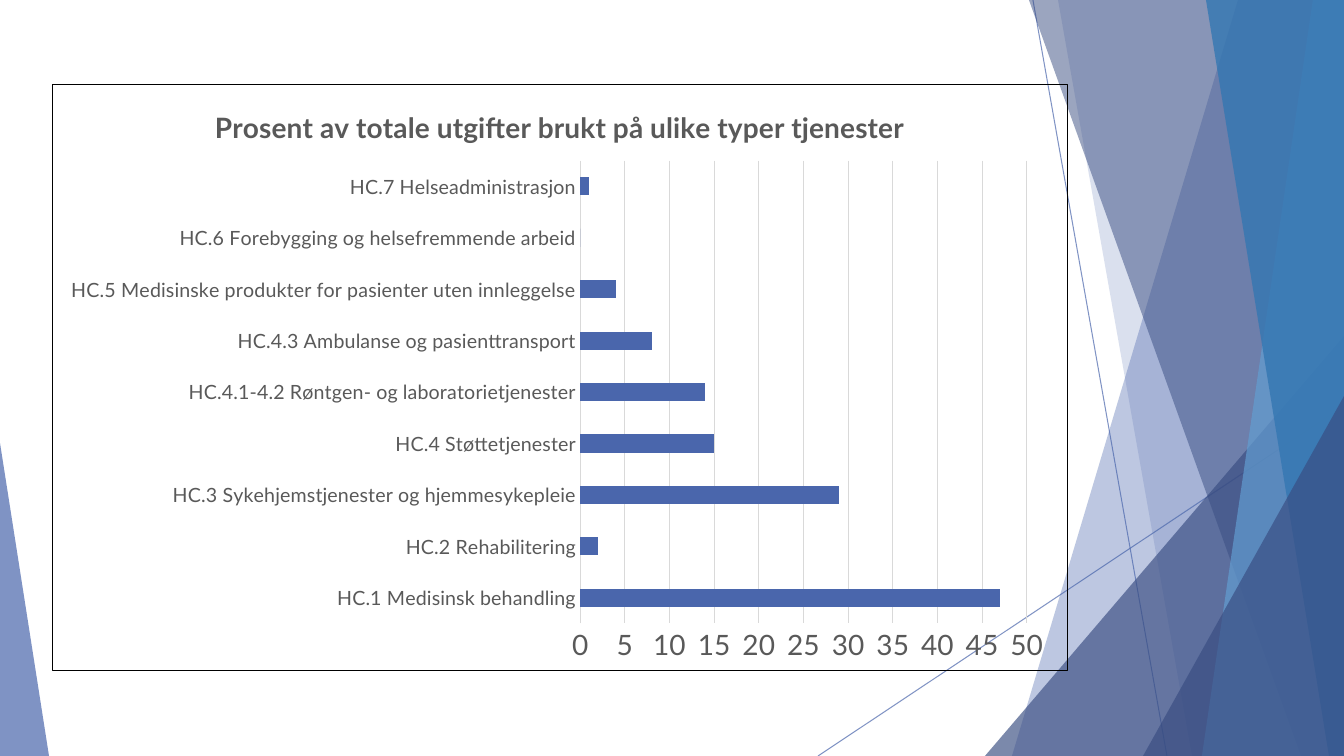
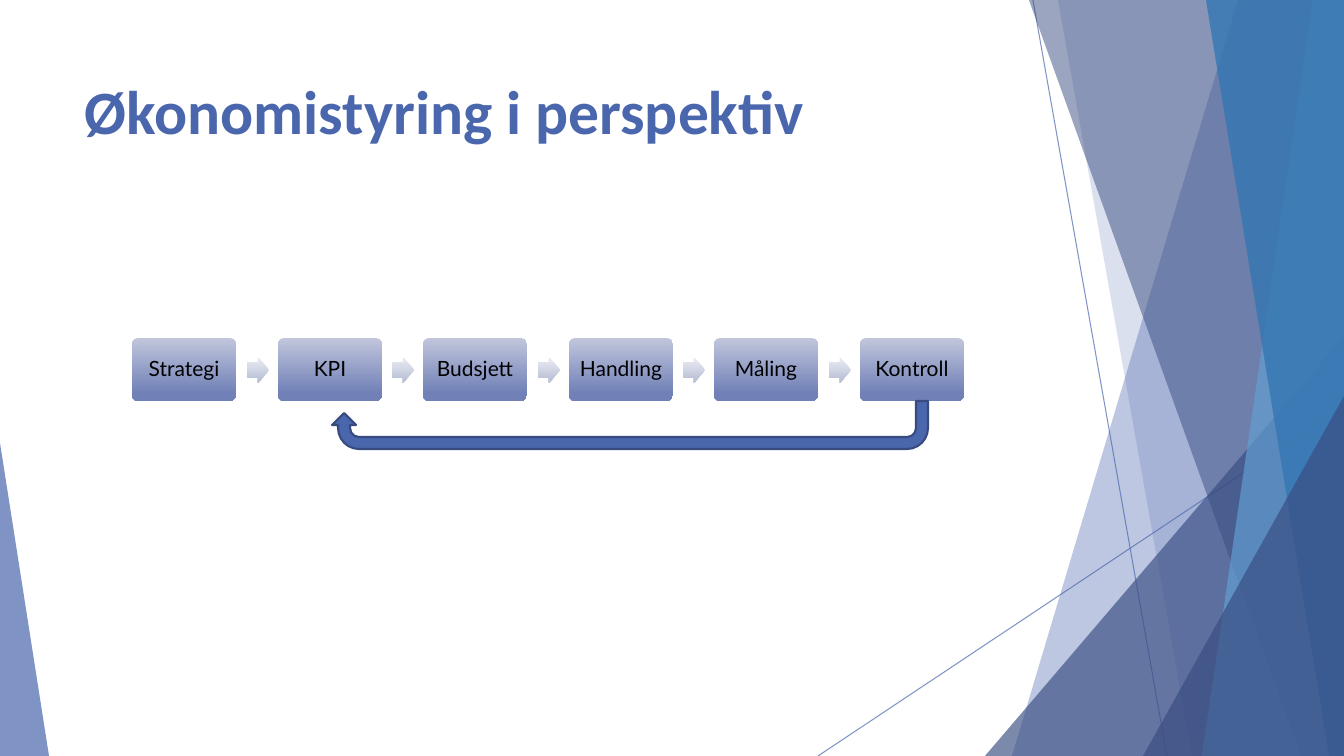
from lxml import etree
from pptx import Presentation
from pptx.chart.data import CategoryChartData
from pptx.dml.color import RGBColor
from pptx.enum.chart import XL_CHART_TYPE, XL_TICK_MARK
from pptx.enum.shapes import MSO_CONNECTOR, MSO_SHAPE
from pptx.enum.text import MSO_ANCHOR, PP_ALIGN
from pptx.oxml import parse_xml
from pptx.oxml.ns import nsdecls, qn
from pptx.util import Pt

BLUE = RGBColor(0x4A, 0x66, 0xAC)
NAVY = RGBColor(0x38, 0x4C, 0x81)
SKY = RGBColor(0x62, 0x9D, 0xD1)
OCEAN = RGBColor(0x34, 0x77, 0xB2)
OUTLINE = RGBColor(0x37, 0x4B, 0x7F)
BOX_TOP = RGBColor(0xC1, 0xC6, 0xDC)
BOX_BOTTOM = RGBColor(0x71, 0x81, 0xB7)
ARROW_TOP = RGBColor(0xEC, 0xEE, 0xF4)
ARROW_BOTTOM = RGBColor(0xBB, 0xC1, 0xD7)
GREY = RGBColor(0x59, 0x59, 0x59)
GRID = RGBColor(0xD9, 0xD9, 0xD9)
BLACK = RGBColor(0, 0, 0)

WIDTH, HEIGHT = 1344, 756
EMU_PER_PX = 12192000 / WIDTH
BODY_FONT, TITLE_FONT = "Lato", "Calibri"

RAYS = [(1033, 0, 1167, HEIGHT), (WIDTH, 406, 818, HEIGHT)]
FACETS = [
    ("band", (1238, 1012), BLUE, 36),
    ("band", (1058, 1192), BLUE, 20),
    ("corner", (985, 336, 359, 420, 1), NAVY, 66),
    ("band", (1029, 1301), NAVY, 50),
    ("band", (1313, 1202), SKY, 70),
    ("band", (1206, 1329), OCEAN, 80),
    ("corner", (1143, 396, 201, 360, 1), NAVY, 66),
    ("corner", (0, 443, 49, 313, 0), BLUE, 70),
]
EXPENSES = {
    "HC.1 Medisinsk behandling": 47,
    "HC.2 Rehabilitering": 2,
    "HC.3 Sykehjemstjenester og hjemmesykepleie": 29,
    "HC.4 Støttetjenester": 15,
    "HC.4.1-4.2 Røntgen- og laboratorietjenester": 14,
    "HC.4.3 Ambulanse og pasienttransport": 8,
    "HC.5 Medisinske produkter for pasienter uten innleggelse": 4,
    "HC.6 Forebygging og helsefremmende arbeid": 0,
    "HC.7 Helseadministrasjon": 1,
}
STEPS = ["Strategi", "KPI", "Budsjett", "Handling", "Måling", "Kontroll"]


def px(*lengths):
    return [round(length * EMU_PER_PX) for length in lengths]


def set_opacity(element, percent):
    for color in element.iter(qn("a:srgbClr")):
        etree.SubElement(color, qn("a:alpha")).set("val", str(percent * 1000))


def set_font(font, size, color, name=BODY_FONT, bold=False):
    font.size, font.name, font.bold = Pt(size), name, bold
    font.color.rgb = color


class Deck:
    def __init__(self):
        self.presentation = Presentation()
        self.presentation.slide_width, self.presentation.slide_height = px(WIDTH, HEIGHT)
        self.slide = None

    def add_slide(self):
        self.slide = self.presentation.slides.add_slide(self.presentation.slide_layouts[6])
        for ray in RAYS:
            self.ray(*ray)
        for kind, geometry, color, opacity in FACETS:
            shape = self.band(*geometry) if kind == "band" else self.corner(*geometry)
            shape.fill.solid()
            shape.fill.fore_color.rgb = color
            set_opacity(shape.fill._xPr, opacity)

    def ray(self, *ends):
        connector = self.slide.shapes.add_connector(MSO_CONNECTOR.STRAIGHT, *px(*ends))
        connector.line.color.rgb = BLUE
        connector.line.width = Pt(0.75)
        properties = connector.element.spPr
        set_opacity(properties, 70)
        etree.SubElement(properties, qn("a:effectLst"))

    def band(self, top_x, bottom_x):
        builder = self.slide.shapes.build_freeform(top_x, 0, scale=EMU_PER_PX)
        builder.add_line_segments([(WIDTH, 0), (WIDTH, HEIGHT), (bottom_x, HEIGHT)])
        return self.plain(builder.convert_to_shape())

    def corner(self, left, top, width, height, apex):
        shape = self.preset(MSO_SHAPE.ISOSCELES_TRIANGLE, left, top, width, height)
        shape.adjustments[0] = apex
        return shape

    def plain(self, shape):
        shape.shadow.inherit = False
        shape.line.fill.background()
        return shape

    def preset(self, kind, *box):
        return self.plain(self.slide.shapes.add_shape(kind, *px(*box)))

    def gradient(self, shape, *colors):
        shape.fill.gradient()
        shape.fill.gradient_angle = 270
        for stop, position, color in zip(shape.fill.gradient_stops, (0, 0.88), colors):
            stop.position = position
            stop.color.rgb = color

    def title(self, text):
        frame = self.slide.shapes.add_textbox(*px(75, 68, 948, 145)).text_frame
        frame.word_wrap = True
        paragraph = frame.paragraphs[0]
        paragraph.text = text
        set_font(paragraph.font, 44, BLUE, TITLE_FONT, True)

    def step(self, text, left):
        shape = self.preset(MSO_SHAPE.ROUNDED_RECTANGLE, left, 338, 104, 63)
        shape.adjustments[0] = 0.1
        self.gradient(shape, BOX_TOP, BOX_BOTTOM)
        frame = shape.text_frame
        frame.margin_left, frame.margin_right, frame.margin_top, frame.margin_bottom = px(6, 6, 6, 6)
        frame.vertical_anchor = MSO_ANCHOR.MIDDLE
        frame.word_wrap = True
        paragraph = frame.paragraphs[0]
        paragraph.text = text
        paragraph.alignment = PP_ALIGN.CENTER
        paragraph.line_spacing = 0.9
        set_font(paragraph.font, 15, BLACK)

    def step_arrow(self, left):
        shape = self.preset(MSO_SHAPE.RIGHT_ARROW, left, 357, 22, 26)
        shape.adjustments[0] = 0.6
        self.gradient(shape, ARROW_TOP, ARROW_BOTTOM)

    def return_arrow(self, *box):
        shape = self.preset(MSO_SHAPE.U_TURN_ARROW, *box)
        shape.rotation = 180
        shape.fill.solid()
        shape.fill.fore_color.rgb = BLUE
        shape.line.color.rgb = OUTLINE
        shape.line.width = Pt(1.5)

    def bar_chart(self, title, values, *box):
        data = CategoryChartData(number_format="0")
        data.categories = list(values)
        data.add_series("Series 1", list(values.values()))
        chart = self.slide.shapes.add_chart(XL_CHART_TYPE.BAR_CLUSTERED, *px(*box), data).chart
        set_font(chart.font, 10, BLACK)
        chart.has_legend = False
        paragraph = chart.chart_title.text_frame.paragraphs[0]
        paragraph.text = title
        set_font(paragraph.font, 20, GREY, bold=True)

        plot = chart.plots[0]
        plot.gap_width = 182
        plot.vary_by_categories = False
        fill = plot.series[0].format.fill
        fill.solid()
        fill.fore_color.rgb = BLUE

        category_axis, value_axis = chart.category_axis, chart.value_axis
        for axis, size in ((category_axis, 14), (value_axis, 20)):
            axis.major_tick_mark = axis.minor_tick_mark = XL_TICK_MARK.NONE
            set_font(axis.tick_labels.font, size, GREY)
        value_axis.minimum_scale, value_axis.maximum_scale, value_axis.major_unit = 0, 50, 5
        value_axis.format.line.fill.background()
        for line in (category_axis.format.line, value_axis.major_gridlines.format.line):
            line.color.rgb = GRID
            line.width = Pt(0.75)
        self.chart_frame(chart)

    def chart_frame(self, chart):
        root = chart.element.find(qn("c:chart"))
        root.addnext(parse_xml(
            f'<c:spPr {nsdecls("c", "a")}><a:noFill/><a:ln w="9525"><a:solidFill>'
            f'<a:srgbClr val="{BLACK}"/></a:solidFill></a:ln></c:spPr>'))
        plot_area = root.find(qn("c:plotArea"))
        for layout in plot_area.findall(qn("c:layout")):
            plot_area.remove(layout)
        position = "".join(
            f'<c:{name} val="{value}"/>' for name, value in (
                ("layoutTarget", "inner"), ("xMode", "edge"), ("yMode", "edge"),
                ("x", 0.52), ("y", 0.13), ("w", 0.44), ("h", 0.79)))
        plot_area.insert(0, parse_xml(
            f'<c:layout {nsdecls("c")}><c:manualLayout>{position}</c:manualLayout></c:layout>'))


def main():
    deck = Deck()

    deck.add_slide()
    deck.bar_chart("Prosent av totale utgifter brukt på ulike typer tjenester", EXPENSES,
                   52, 84, 1016, 587)

    deck.add_slide()
    deck.title("Økonomistyring i perspektiv")
    first_left, pitch = 132, 145.6
    for index, text in enumerate(STEPS):
        left = round(first_left + index * pitch)
        if index:
            deck.step_arrow(left - 31)
        deck.step(text, left)
    deck.return_arrow(332, 401, 596, 48)

    deck.presentation.save("out.pptx")


if __name__ == "__main__":
    main()
